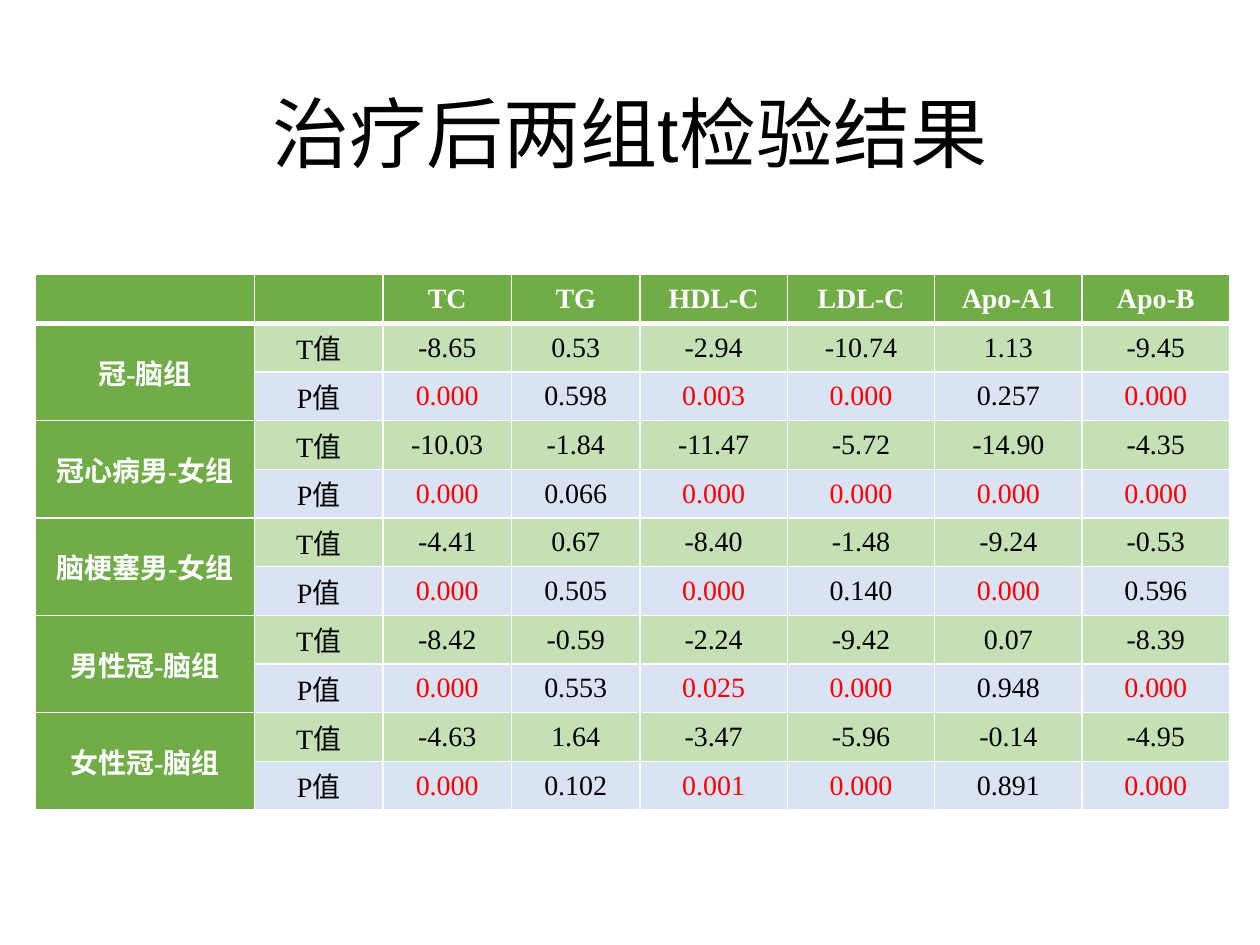
from dataclasses import dataclass

from lxml import etree
from pptx import Presentation
from pptx.dml.color import RGBColor
from pptx.enum.text import MSO_ANCHOR, PP_ALIGN
from pptx.oxml.ns import qn
from pptx.util import Inches, Pt

MIDDLE = MSO_ANCHOR.MIDDLE
CENTER = PP_ALIGN.CENTER


@dataclass(frozen=True)
class Theme:
    title_font: str = "Arial"
    table_font: str = "Times New Roman"
    title_size: int = 44
    table_size: int = 16
    ink: str = "000000"
    white: str = "FFFFFF"
    significant: str = "FF0000"
    header: str = "70AD47"
    t_row: str = "C5E0B4"
    p_row: str = "DAE3F3"
    thin: int = 1
    thick: int = 3


theme = Theme()

INDICATORS = ["TC", "TG", "HDL-C", "LDL-C", "Apo-A1", "Apo-B"]
RESULTS = [
    ("冠-脑组",
     ["-8.65", "0.53", "-2.94", "-10.74", "1.13", "-9.45"],
     ["0.000", "0.598", "0.003", "0.000", "0.257", "0.000"]),
    ("冠心病男-女组",
     ["-10.03", "-1.84", "-11.47", "-5.72", "-14.90", "-4.35"],
     ["0.000", "0.066", "0.000", "0.000", "0.000", "0.000"]),
    ("脑梗塞男-女组",
     ["-4.41", "0.67", "-8.40", "-1.48", "-9.24", "-0.53"],
     ["0.000", "0.505", "0.000", "0.140", "0.000", "0.596"]),
    ("男性冠-脑组",
     ["-8.42", "-0.59", "-2.24", "-9.42", "0.07", "-8.39"],
     ["0.000", "0.553", "0.025", "0.000", "0.948", "0.000"]),
    ("女性冠-脑组",
     ["-4.63", "1.64", "-3.47", "-5.96", "-0.14", "-4.95"],
     ["0.000", "0.102", "0.001", "0.000", "0.891", "0.000"]),
]
COLUMN_WIDTHS = [1.74] + [1.02] * 3 + [1.17] * 4
ROW_COUNT = 1 + 2 * len(RESULTS)
TABLE_HEIGHT = 4.25
SIGNIFICANCE_LEVEL = 0.05


def add_borders(cell, top, bottom):
    properties = cell._tc.get_or_add_tcPr()
    sides = {"a:lnL": theme.thin, "a:lnR": theme.thin, "a:lnT": top, "a:lnB": bottom}
    for tag, width in sides.items():
        line = etree.SubElement(properties, qn(tag), w=str(Pt(width)))
        fill = etree.SubElement(line, qn("a:solidFill"))
        etree.SubElement(fill, qn("a:srgbClr"), val=theme.white)


def fill_cell(cell, text, fill, color=theme.ink, bold=False):
    cell.fill.solid()
    cell.fill.fore_color.rgb = RGBColor.from_string(fill)
    cell.vertical_anchor = MIDDLE
    cell.margin_left = cell.margin_right = Inches(0.07)
    cell.margin_top = cell.margin_bottom = 0
    para = cell.text_frame.paragraphs[0]
    para.alignment = CENTER
    if text:
        span = para.add_run()
        span.text = text
        span.font.name = theme.table_font
        span.font.size = Pt(theme.table_size)
        span.font.bold = bold
        span.font.color.rgb = RGBColor.from_string(color)


deck = Presentation()
deck.slide_width, deck.slide_height = Inches(10), Inches(7.5)
page = deck.slides.add_slide(deck.slide_layouts[5])

# Title
title = page.shapes.title
title.left, title.top = Inches(0.69), Inches(0.4)
title.width, title.height = Inches(8.62), Inches(1.38)
title.text_frame.vertical_anchor = MIDDLE
title_para = title.text_frame.paragraphs[0]
title_para.alignment = CENTER
title_para.line_spacing = 0.9
title_span = title_para.add_run()
title_span.text = "治疗后两组t检验结果"
title_span.font.name = theme.title_font
title_span.font.size = Pt(theme.title_size)
title_span.font.color.rgb = RGBColor.from_string(theme.ink)

# Table grid
table = page.shapes.add_table(
    ROW_COUNT, len(COLUMN_WIDTHS), Inches(0.28), Inches(2.18),
    Inches(sum(COLUMN_WIDTHS)), Inches(TABLE_HEIGHT)).table
for column, width in zip(table.columns, COLUMN_WIDTHS):
    column.width = Inches(width)
for index, row in enumerate(table.rows):
    row.height = Inches(TABLE_HEIGHT / ROW_COUNT)
    top = theme.thick if index == 1 else theme.thin
    bottom = theme.thick if index == 0 else theme.thin
    for cell in row.cells:
        add_borders(cell, top, bottom)

# Header row
for column, name in enumerate(["", ""] + INDICATORS):
    fill_cell(table.cell(0, column), name, theme.header, theme.white, True)

# One T row and one P row per comparison, significant P values in red
for index, (group, t_values, p_values) in enumerate(RESULTS):
    t_row = 1 + 2 * index
    p_row = t_row + 1
    table.cell(t_row, 0).merge(table.cell(p_row, 0))
    fill_cell(table.cell(t_row, 0), group, theme.header, theme.white, True)
    fill_cell(table.cell(t_row, 1), "T值", theme.t_row)
    fill_cell(table.cell(p_row, 1), "P值", theme.p_row)
    for column, (t_value, p_value) in enumerate(zip(t_values, p_values), start=2):
        fill_cell(table.cell(t_row, column), t_value, theme.t_row)
        significant = float(p_value) < SIGNIFICANCE_LEVEL
        fill_cell(table.cell(p_row, column), p_value, theme.p_row,
                  theme.significant if significant else theme.ink)

deck.save("out.pptx")
